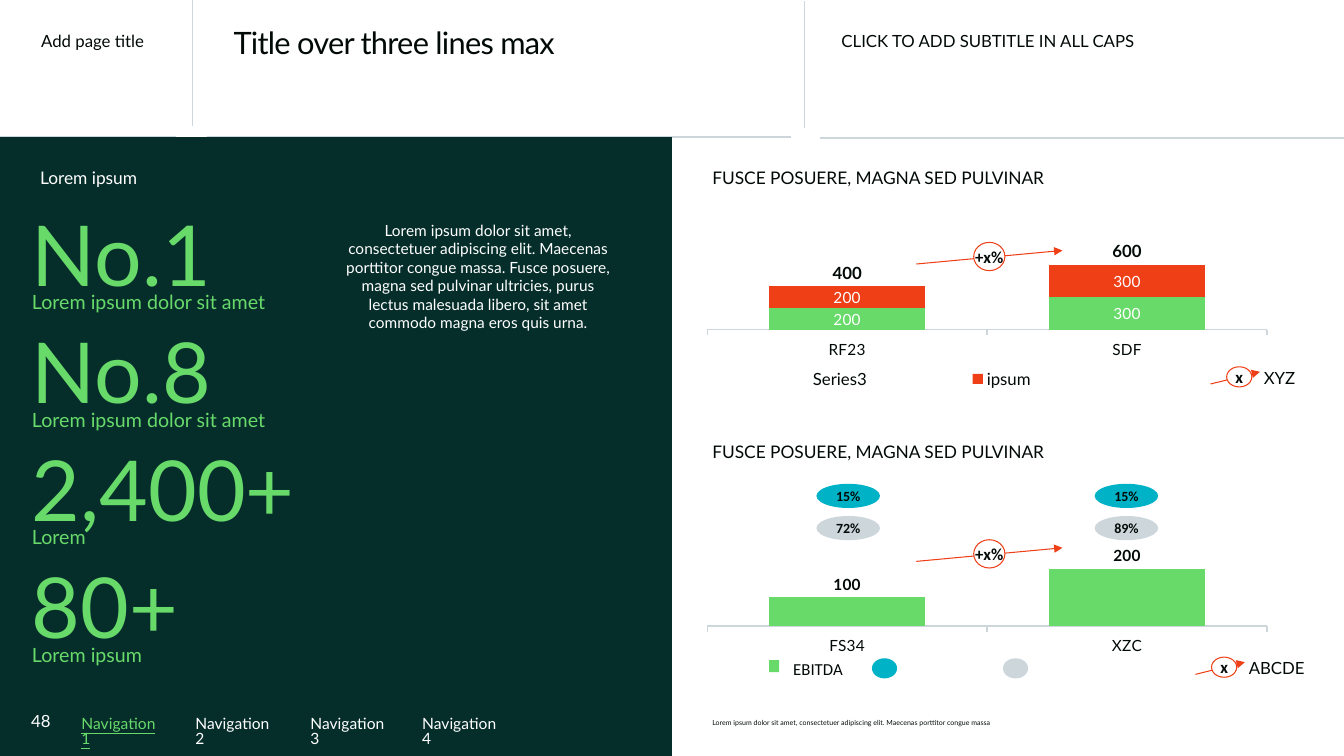
from lxml import etree
from pptx import Presentation
from pptx.chart.data import CategoryChartData
from pptx.dml.color import RGBColor
from pptx.enum.chart import (XL_CHART_TYPE, XL_LABEL_POSITION,
                             XL_LEGEND_POSITION, XL_TICK_MARK)
from pptx.enum.shapes import MSO_CONNECTOR, MSO_SHAPE
from pptx.enum.text import MSO_ANCHOR, MSO_AUTO_SIZE, PP_ALIGN
from pptx.oxml import parse_xml
from pptx.oxml.ns import nsdecls, qn
from pptx.util import Pt

OVAL, RECT = MSO_SHAPE.OVAL, MSO_SHAPE.RECTANGLE
LEFT, MID = PP_ALIGN.LEFT, PP_ALIGN.CENTER
BASE = XL_LABEL_POSITION.INSIDE_BASE
CENTER = XL_LABEL_POSITION.CENTER
OUT = XL_LABEL_POSITION.OUTSIDE_END
STACK = XL_CHART_TYPE.COLUMN_STACKED
CLUSTER = XL_CHART_TYPE.COLUMN_CLUSTERED

HEX = {"ink": "020A08", "white": "FFFFFF", "dark": "052E2B", "green": "68DA6A",
       "red": "EE3F17", "teal": "00B2C6", "gray": "CDD6DB"}
RGB = {name: RGBColor.from_string(code) for name, code in HEX.items()}

deck = Presentation()
deck.slide_width, deck.slide_height = Pt(960), Pt(540)
slide = deck.slides.add_slide(deck.slide_layouts[6])
shapes = slide.shapes


def put(text, x, y, w, h, kind=None, fill=None, edge=None, size=12, font="Lato",
        color="ink", bold=False, under=False, align=LEFT, gap=None, after=None,
        track=None, tight=False, wrap=True, grow=False):
    """Place a text box, or a shape of the given kind; text may be (line, size) pairs."""
    box = [Pt(n) for n in (x, y, w, h)]
    if kind is None:
        item = shapes.add_textbox(*box)
    else:
        item = shapes.add_shape(kind, *box)
        item.shadow.inherit = False
        item.fill.solid()
        item.fill.fore_color.rgb = RGB[fill]
        if edge:
            item.line.color.rgb = RGB[edge]
            item.line.width = Pt(0.75)
        else:
            item.line.fill.background()
    frame = item.text_frame
    frame.word_wrap = wrap
    if tight:
        frame.vertical_anchor = MSO_ANCHOR.MIDDLE
        frame.margin_left = frame.margin_right = Pt(0)
        frame.margin_top = frame.margin_bottom = Pt(0)
    if grow:
        frame.auto_size = MSO_AUTO_SIZE.SHAPE_TO_FIT_TEXT
    rows = [(text, size)] if isinstance(text, str) else text
    for i, (words, points) in enumerate(rows):
        para = frame.add_paragraph() if i else frame.paragraphs[0]
        para.alignment = align
        if gap:
            para.line_spacing = gap
        if after:
            para.space_after = Pt(after)
        if not words:
            continue
        run = para.add_run()
        run.text = words
        run.font.size, run.font.name = Pt(points), font
        run.font.bold, run.font.underline = bold, under
        run.font.color.rgb = RGB[color]
        if track:
            run.font._element.set("spc", str(track))


def rule(x1, y1, x2, y2, color="gray", width=1, arrow=False):
    """Draw a straight line, with an arrowhead at its end if asked."""
    line = shapes.add_connector(MSO_CONNECTOR.STRAIGHT, Pt(x1), Pt(y1), Pt(x2), Pt(y2))
    line.line.color.rgb = RGB[color]
    line.line.width = Pt(width)
    if arrow:
        etree.SubElement(line.line._get_or_add_ln(), qn("a:tailEnd"), type="triangle")
    etree.SubElement(line._element.spPr, qn("a:effectLst"))


# Header rules and dark panel
for ends in ((137.5, 90, 137.5, 0), (574.6, 91.5, 574.6, 0.7), (147.6, 98, 565.2, 98),
             (0, 98, 126, 98), (585.4, 98.6, 960, 98.6)):
    rule(*ends)
put("", 0, 98, 480, 442, kind=RECT, fill="dark")

# Header text
put("Add page title", 22.3, 20.2, 113, 13, gap=0.9, grow=True)
put("Title over three lines max", 159.8, 17.3, 391, 72.7, size=22, gap=0.85,
    after=12, track=-50)
put("CLICK TO ADD SUBTITLE IN ALL CAPS", 594, 20.2, 345.6, 69, gap=0.9)

# Section headings
for text, x, y, color in (("Lorem ipsum", 21.6, 120.2, "white"),
                          ("FUSCE POSUERE, MAGNA SED PULVINAR", 501.8, 120.2, "ink"),
                          ("FUSCE POSUERE, MAGNA SED PULVINAR", 501.8, 315.4, "ink")):
    put(text, x, y, 345.6, 18.7, size=12.4, color=color, gap=0.7)

# Page number, navigation and footnote
put("48", 22.3, 500.4, 28, 28.8, color="white", tight=True)
for i, x in enumerate((51.1, 132.5, 214.6, 294.5)):
    put(f"Navigation {i + 1}", x, 509, 76.3, 18.7, size=11.1, gap=0.8,
        color="white" if i else "green", under=not i)
put("Lorem ipsum dolor sit amet, consectetuer adipiscing elit. Maecenas porttitor "
    "congue massa", 501.8, 511.2, 383, 12.2, size=5, gap=0.7)

# Key figures
facts = (("No.1", "Lorem ipsum dolor sit amet"), ("No.8", "Lorem ipsum dolor sit amet"),
         ("2,400+", "Lorem"), ("80+", "Lorem ipsum"))
for i, (fact, note) in enumerate(facts):
    put([(fact, 60), (note, 14)], 15.8, 166.3 + 84 * i, 377.3, 61.9,
        color="green", gap=0.6, grow=True)
put("Lorem ipsum dolor sit amet, consectetuer adipiscing elit. Maecenas porttitor congue "
    "massa. Fusce posuere, magna sed pulvinar ultricies, purus lectus malesuada libero, "
    "sit amet commodo magna eros quis urna.", 237.6, 154.1, 208, 74.2, size=11,
    color="white", align=MID, grow=True)

# Charts: series hold name, values, fill, label colour, label size, bold, label place
charts = (
    (STACK, 149, 147.6, 1100, ("RF23", "SDF"), (0.015, 0.011, 0.971, 0.575),
     (("Series 1", (200, 300), "green", "white", 11, False, CENTER),
      ("ipsum", (200, 300), "red", "white", 11, False, CENTER),
      ("Series3", (400, 600), None, "ink", 12, True, BASE))),
    (CLUSTER, 386.6, 83.5, 202, ("FS34", "XZC"), (0.015, 0.23, 0.971, 0.496),
     (("Series 1", (100, 200), "green", "ink", 11, True, OUT),)),
)
for kind, y, h, top, cats, area, rows in charts:
    data = CategoryChartData(number_format='#,##0;"-"#,##0')
    data.categories = cats
    for row in rows:
        data.add_series(row[0], row[1])
    chart = shapes.add_chart(kind, Pt(499), Pt(y), Pt(411.8), Pt(h), data).chart
    chart.has_title = False
    chart.font.size, chart.font.name = Pt(10), "Lato"
    chart.font.color.rgb = RGB["ink"]
    plot = chart.plots[0]
    plot.gap_width, plot.vary_by_categories = 80, False
    if kind == STACK:
        plot.overlap = 100
    for bar, (_, _, fill, color, size, bold, place) in zip(plot.series, rows):
        if fill:
            bar.format.fill.solid()
            bar.format.fill.fore_color.rgb = RGB[fill]
        else:
            bar.format.fill.background()
        tags = bar.data_labels
        tags.show_value, tags.position = True, place
        tags.font.size, tags.font.bold = Pt(size), bold
        tags.font.color.rgb = RGB[color]
    scale, base = chart.value_axis, chart.category_axis
    scale.minimum_scale, scale.maximum_scale = 0, top
    scale.has_major_gridlines = scale.visible = False
    base.major_tick_mark = XL_TICK_MARK.OUTSIDE
    base.tick_labels.font.size = Pt(11)
    base.format.line.color.rgb = RGB["gray"]
    base.format.line.width = Pt(1)

    # Fixed places for plot and legend
    parts = [(chart._chartSpace.chart.plotArea, area, '<c:layoutTarget val="inner"/>')]
    chart.has_legend = kind == STACK
    if chart.has_legend:
        key = chart.legend
        key.position, key.include_in_layout = XL_LEGEND_POSITION.RIGHT, False
        key.font.size = Pt(12)
        parts.append((key._element, (0, 0.764, 0.75, 0.12), ""))
    for part, spots, target in parts:
        for old in part.findall(qn("c:layout")):
            part.remove(old)
        modes = "".join(f'<c:{m}Mode val="edge"/>' for m in "xy")
        sizes = "".join(f'<c:{m} val="{n}"/>' for m, n in zip("xywh", spots))
        place = parse_xml(f'<c:layout {nsdecls("c")}><c:manualLayout>{target}{modes}{sizes}'
                          '</c:manualLayout></c:layout>')
        if target:
            part.insert(0, place)
        else:
            part.find(qn("c:overlay")).addprevious(place)
            place.addprevious(parse_xml(f'<c:legendEntry {nsdecls("c")}><c:idx val="0"/>'
                                        '<c:delete val="1"/></c:legendEntry>'))

# Growth arrows
badge = dict(kind=OVAL, fill="white", edge="red", font="Calibri", bold=True,
             align=MID, tight=True, wrap=False)
for y in (188.6, 401):
    rule(654.5, y, 758.9, y - 9.7, "red", 0.75, True)
    put("+x%", 695.5, y - 15.5, 22.3, 20.2, **badge)

# Share pills
for x, shares in ((583.2, ("15%", "72%")), (781.9, ("15%", "89%"))):
    for i, share in enumerate(shares):
        put(share, x, 345.6 + 23 * i, 45.4, 17.3, kind=OVAL, fill=("teal", "gray")[i],
            size=10, font="Calibri", bold=True, align=MID, tight=True)

# Lower legend
put("", 549.4, 471.6, 7.2, 8.6, kind=RECT, fill="green")
put("EBITDA", 566.6, 470.2, 48, 14.4, font="Calibri", tight=True, wrap=False)
for x, fill in ((622.8, "teal"), (716.4, "gray")):
    put("", x, 470.2, 18, 14.4, kind=OVAL, fill=fill)

# Arrow keys
for name, x, y in (("XYZ", 864.7, 274.3), ("ABCDE", 853.9, 481.7)):
    rule(x, y, x + 35.3, y - 8.7, "red", 0.75, True)
    put("x", x + 11.5, y - 12.3, 18, 14.4, **badge)
    put(name, x + 31, y - 15.1, 61.2, 21.6, grow=True)

deck.save("out.pptx")
